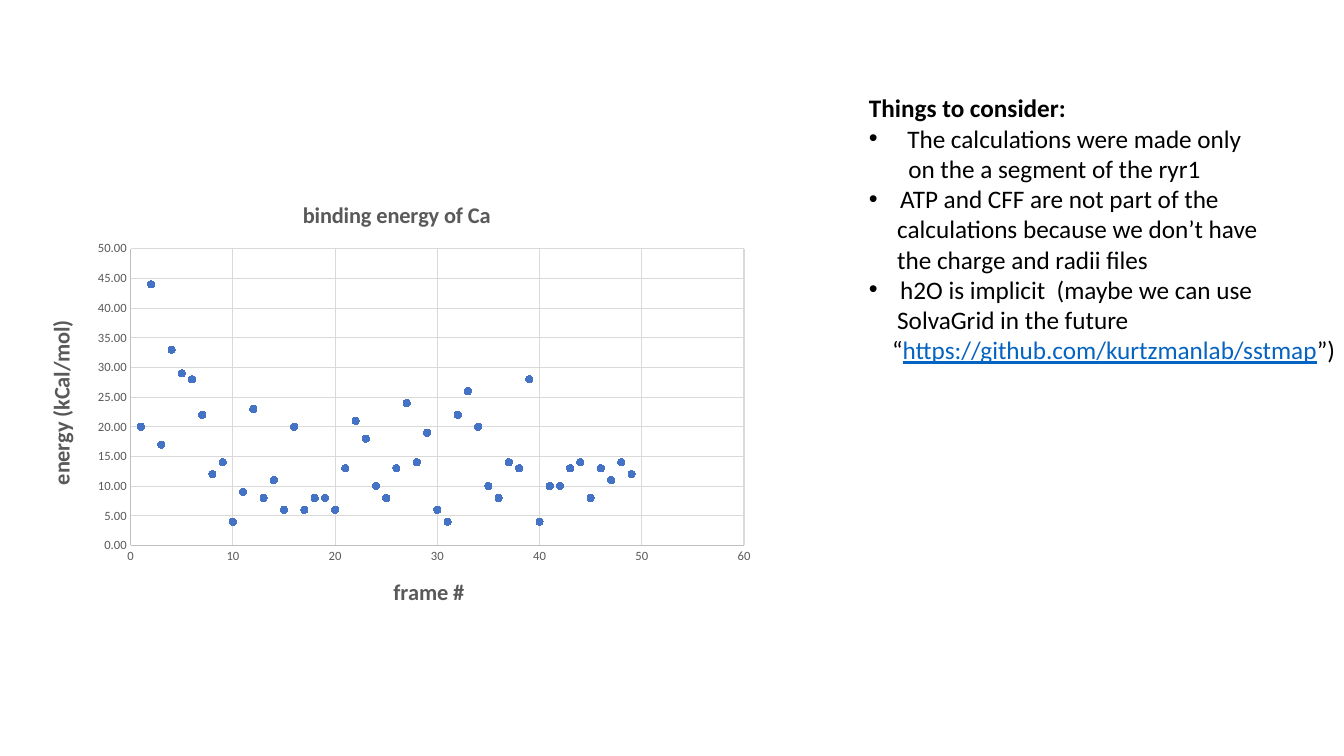
from lxml import etree
from pptx import Presentation
from pptx.chart.data import XyChartData
from pptx.dml.color import RGBColor
from pptx.enum.chart import XL_CHART_TYPE, XL_MARKER_STYLE, XL_TICK_MARK
from pptx.enum.text import MSO_ANCHOR
from pptx.oxml.ns import qn
from pptx.util import Inches, Pt

FONT = "Calibri"
COLORS = {"text": "000000", "link": "0563C1", "label": "595959",
          "axis": "BFBFBF", "grid": "D9D9D9", "point": "4472C4"}

# Binding energy of frames 1, 2, 3, ...
ENERGIES = [
    20, 44, 17, 33, 29, 28, 22, 12, 14, 4,
    9, 23, 8, 11, 6, 20, 6, 8, 8, 6,
    13, 21, 18, 10, 8, 13, 24, 14, 19, 6,
    4, 22, 26, 20, 10, 8, 14, 13, 28, 4,
    10, 10, 13, 14, 8, 13, 11, 14, 12,
]

# Text, left indent in inches, bulleted
HEADING = "Things to consider:"
POINTS = [
    ("The calculations were made only", 0.38, True),
    ("on the a segment of the ryr1", 0.39, False),
    ("ATP and CFF are not part of the", 0.31, True),
    ("calculations because we don’t have", 0.28, False),
    ("the charge and radii files", 0.28, False),
    ("h2O is implicit  (maybe we can use", 0.31, True),
    ("SolvaGrid in the future", 0.28, False),
]
URL = "https://github.com/kurtzmanlab/sstmap"
URL_INDENT = 0.23


def rgb(name):
    return RGBColor.from_string(COLORS[name])


def style_font(font, size, color, bold=False):
    font.name, font.size, font.bold = FONT, Pt(size), bold
    font.color.rgb = rgb(color)


def style_line(line, color):
    line.color.rgb = rgb(color)
    line.width = Pt(0.75)


def set_layout(parent, **settings):
    """Give a chart title or plot area a manual layout in chart fractions."""
    for old in parent.findall(qn("c:layout")):
        parent.remove(old)
    layout = etree.Element(qn("c:layout"))
    manual = etree.SubElement(layout, qn("c:manualLayout"))
    for tag, value in settings.items():
        etree.SubElement(manual, qn(f"c:{tag}")).set("val", str(value))
    tx = parent.find(qn("c:tx"))
    if tx is None:
        parent.insert(0, layout)
    else:
        tx.addnext(layout)


def set_title(title, text):
    tf = title.text_frame
    tf.text = text
    style_font(tf.paragraphs[0].runs[0].font, 16, "label", True)


def style_axis(axis, text, x, y, maximum, step, number_format):
    axis.minimum_scale, axis.maximum_scale = 0, maximum
    axis.major_unit = step
    axis.major_tick_mark = axis.minor_tick_mark = XL_TICK_MARK.NONE
    axis.has_major_gridlines = True
    style_line(axis.major_gridlines.format.line, "grid")
    style_line(axis.format.line, "axis")
    style_font(axis.tick_labels.font, 9, "label")
    axis.tick_labels.number_format = number_format
    axis.tick_labels.number_format_is_linked = False
    set_title(axis.axis_title, text)
    set_layout(axis.axis_title._element, xMode="edge", yMode="edge", x=x, y=y)


def add_energy_chart(s, left, top, width, height):
    data = XyChartData()
    series = data.add_series("Series 1")
    for frame, energy in enumerate(ENERGIES, 1):
        series.add_data_point(frame, energy)
    chart = s.shapes.add_chart(XL_CHART_TYPE.XY_SCATTER, Inches(left), Inches(top),
                               Inches(width), Inches(height), data).chart
    style_font(chart.font, 10, "text")
    chart.has_legend = False
    chart.has_title = True
    set_title(chart.chart_title, "binding energy of Ca")
    style_axis(chart.category_axis, "frame #", 0.49, 0.87, 60, 10, "General")
    style_axis(chart.value_axis, "energy (kCal/mol)", 0.02, 0.3, 50, 5, "0.00")

    plot = chart.plots[0]
    plot.vary_by_categories = False
    dots = plot.series[0]
    dots.format.line.fill.background()
    dots.marker.style, dots.marker.size = XL_MARKER_STYLE.CIRCLE, 5
    dots.marker.format.fill.solid()
    dots.marker.format.fill.fore_color.rgb = rgb("point")
    style_line(dots.marker.format.line, "point")
    set_layout(chart._chartSpace.find(".//" + qn("c:plotArea")),
               layoutTarget="inner", xMode="edge", yMode="edge",
               x=0.14, y=0.15, w=0.83, h=0.66)


def add_run(p, text, color="text", bold=False):
    r = p.add_run()
    r.text = text
    style_font(r.font, 18, color, bold)
    return r


def add_indented(tf, indent, bulleted=False):
    p = tf.add_paragraph()
    pPr = p._p.get_or_add_pPr()
    pPr.set("marL", str(Inches(indent)))
    pPr.set("indent", str(-Inches(indent) if bulleted else 0))
    if bulleted:
        etree.SubElement(pPr, qn("a:buFont")).set("typeface", "Arial")
        etree.SubElement(pPr, qn("a:buChar")).set("char", "•")
    return p


def add_considerations(s, left, top, width, height):
    tf = s.shapes.add_textbox(Inches(left), Inches(top),
                              Inches(width), Inches(height)).text_frame
    tf.word_wrap = False
    tf.vertical_anchor = MSO_ANCHOR.TOP
    add_run(tf.paragraphs[0], HEADING, bold=True)
    for text, indent, bulleted in POINTS:
        add_run(add_indented(tf, indent, bulleted), text)
    p = add_indented(tf, URL_INDENT)
    add_run(p, "“")
    add_run(p, URL, "link").font.underline = True
    add_run(p, "”)")


def main():
    prs = Presentation()
    prs.slide_width, prs.slide_height = Inches(13.33), Inches(7.5)
    s = prs.slides.add_slide(prs.slide_layouts[6])
    add_energy_chart(s, 0.27, 1.8, 7.33, 4.46)
    add_considerations(s, 8.52, 0.87, 4.88, 3.43)
    prs.save("out.pptx")


if __name__ == "__main__":
    main()
